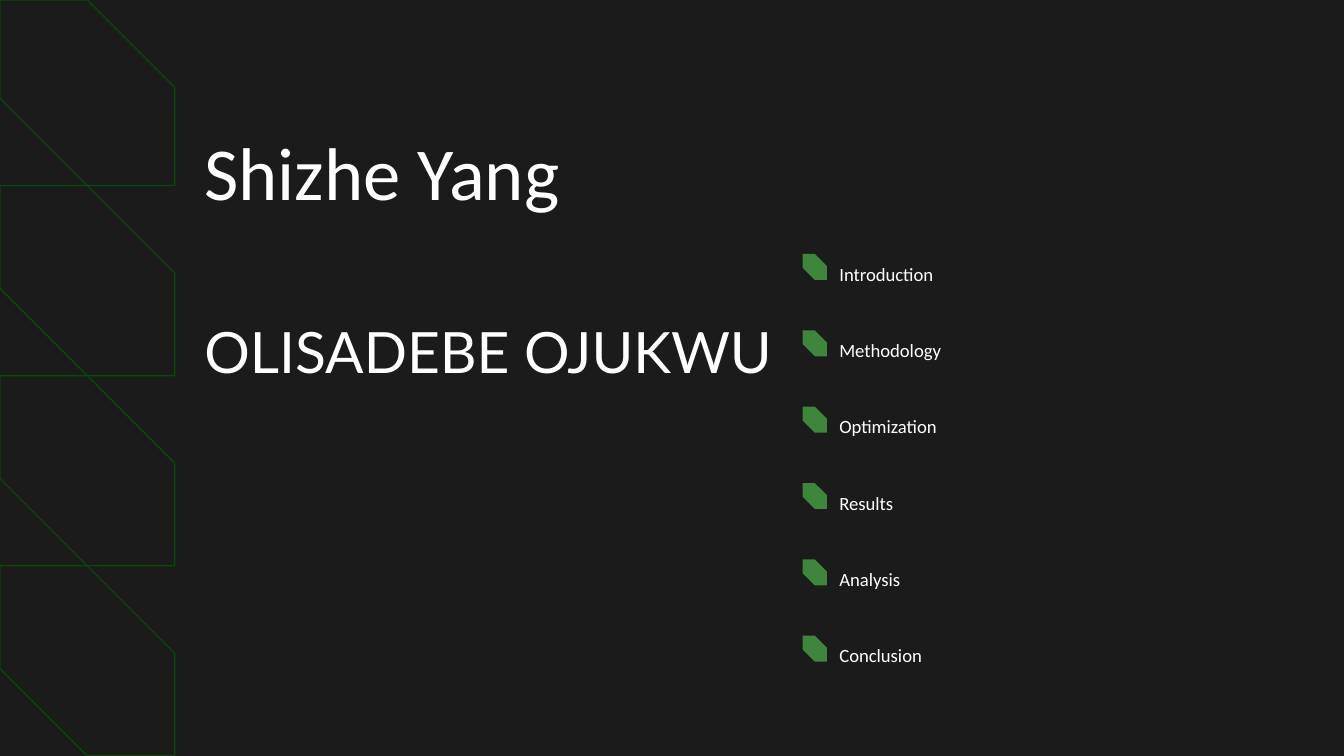
from pptx import Presentation
from pptx.dml.color import RGBColor
from pptx.enum import shapes, text
from pptx.util import Pt

BACKGROUND, OUTLINE, GREEN, WHITE = "1B1B1B", "074907", "3E863C", "FFFFFF"
TOPICS = ["Introduction", "Methodology", "Optimization",
          "Results", "Analysis", "Conclusion"]


def color(value):
    return RGBColor.from_string(value)


def add_leaf(left, top, width, height):
    """Add a rectangle with its top-right and bottom-left corners cut."""
    leaf = slide.shapes.add_shape(
        shapes.MSO_SHAPE.SNIP_2_DIAG_RECTANGLE,
        Pt(left), Pt(top), Pt(width), Pt(height))
    leaf.adjustments[0] = 0
    leaf.adjustments[1] = 0.5
    leaf.shadow.inherit = False
    return leaf


presentation = Presentation()
presentation.slide_width = Pt(720)
presentation.slide_height = Pt(405)
slide = presentation.slides.add_slide(presentation.slide_layouts[5])
slide.background.fill.solid()
slide.background.fill.fore_color.rgb = color(BACKGROUND)

# Outlined column on the left edge
first_height, other_height = 99.4, 101.86
for index in range(4):
    top = first_height + (index - 1) * other_height if index else 0
    outline = add_leaf(0, top, 93.6, other_height if index else first_height)
    outline.fill.background()
    outline.line.color.rgb = color(OUTLINE)
    outline.line.width = Pt(0.75)

# Names
title = slide.shapes.title
title.left, title.top, title.width, title.height = Pt(109.5), Pt(65.5), Pt(320.5), Pt(202.5)
title_format = {
    "margin_left": 0, "margin_right": Pt(7.2),
    "margin_top": Pt(7.2), "margin_bottom": Pt(7.2),
    "vertical_anchor": text.MSO_ANCHOR.TOP,
    "auto_size": text.MSO_AUTO_SIZE.NONE, "word_wrap": True,
}
for name, value in title_format.items():
    setattr(title.text_frame, name, value)
title.text_frame.text = "Shizhe Yang\nOLISADEBE OJUKWU"
name_formats = [("Calibri", 40, 0.9, 0), ("Lato", 30.5, 2, 17)]
for paragraph, (font, size, spacing, before) in zip(title.text_frame.paragraphs, name_formats):
    paragraph.alignment = text.PP_ALIGN.LEFT
    paragraph.line_spacing = spacing
    paragraph.space_before = Pt(before)
    paragraph.font.name = font
    paragraph.font.size = Pt(size)
    paragraph.font.color.rgb = color(WHITE)

# Topics, each with its green marker
topic_format = {**title_format, "vertical_anchor": text.MSO_ANCHOR.BOTTOM}
for index, topic in enumerate(TOPICS):
    top = 136.1 + index * 40.9
    marker = add_leaf(430, top, 13, 13.9)
    marker.fill.solid()
    marker.fill.fore_color.rgb = color(GREEN)
    marker.line.fill.background()

    label = slide.shapes.add_textbox(Pt(449.7), Pt(top), Pt(224), Pt(23.8))
    for name, value in topic_format.items():
        setattr(label.text_frame, name, value)
    paragraph = label.text_frame.paragraphs[0]
    paragraph.text = topic
    paragraph.line_spacing = 1.15
    paragraph.font.name = "Calibri"
    paragraph.font.size = Pt(10)
    paragraph.font.color.rgb = color(WHITE)

presentation.save("out.pptx")
